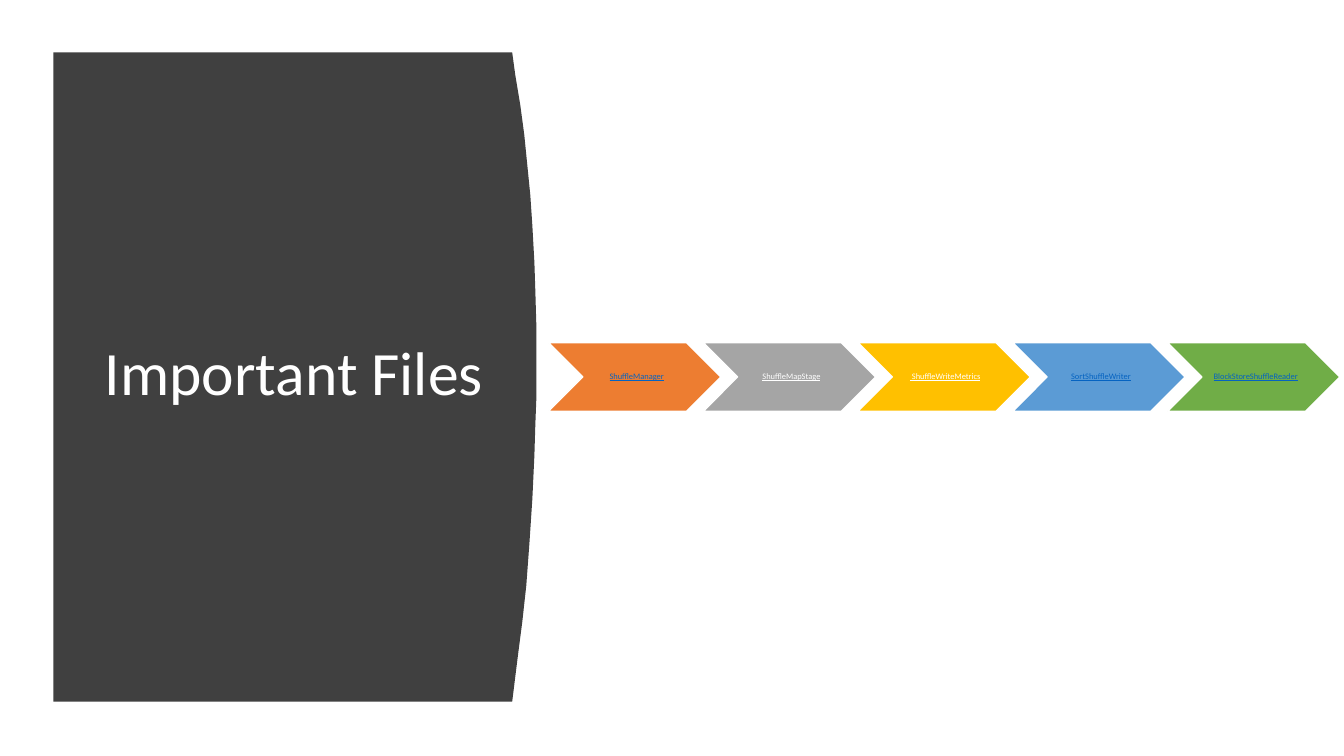
from pptx import Presentation
from pptx.dml.color import RGBColor
from pptx.enum.shapes import MSO_SHAPE
from pptx.enum.text import MSO_ANCHOR, MSO_AUTO_SIZE, PP_ALIGN
from pptx.util import Inches, Pt

COLORS = {
    "panel": "404040",
    "white": "FFFFFF",
    "link": "0563C1",
    "orange": "ED7D31",
    "gray": "A5A5A5",
    "gold": "FFC000",
    "blue": "5B9BD5",
    "green": "70AD47",
}


def color(name):
    return RGBColor.from_string(COLORS[name])


prs = Presentation()
prs.slide_width = Inches(13.33)
prs.slide_height = Inches(7.5)
slide = prs.slides.add_slide(prs.slide_layouts[5])

# Dark panel with a bulging right edge
PANEL_LEFT, PANEL_TOP, PANEL_BOTTOM = 0.53, 0.52, 6.96
bulge = [
    (5.08, PANEL_TOP), (5.11, 0.74), (5.16, 1.04), (5.2, 1.34), (5.23, 1.64),
    (5.26, 1.94), (5.28, 2.24), (5.3, 2.6), (5.31, 2.9), (5.32, 3.25),
    (5.32, 3.94), (5.31, 4.2), (5.3, 4.52), (5.28, 4.95), (5.25, 5.4),
    (5.22, 5.81), (5.18, 6.17), (5.14, 6.48), (5.11, 6.72), (5.08, PANEL_BOTTOM),
]
outline = slide.shapes.build_freeform(
    Inches(PANEL_LEFT), Inches(PANEL_TOP), scale=1.0)
outline.add_line_segments(
    [(Inches(x), Inches(y)) for x, y in bulge + [(PANEL_LEFT, PANEL_BOTTOM)]],
    close=True)
panel = outline.convert_to_shape()
panel.shadow.inherit = False
panel.fill.solid()
panel.fill.fore_color.rgb = color("panel")
panel.line.fill.background()

# Title, raised above the panel
title = slide.shapes.title
slide.shapes._spTree.append(title._element)
title.left, title.top = Inches(0.94), Inches(1.11)
title.width, title.height = Inches(4.23), Inches(5.24)
title.text_frame.text = "Important Files"
title.text_frame.word_wrap = True
title.text_frame.auto_size = MSO_AUTO_SIZE.NONE
title.text_frame.vertical_anchor = MSO_ANCHOR.MIDDLE
heading = title.text_frame.paragraphs[0]
heading.alignment = PP_ALIGN.LEFT
heading.line_spacing = 0.9
heading.font.name = "Calibri"
heading.font.size = Pt(44)
heading.font.color.rgb = color("white")

# Row of chevrons: fill, lead text, file name, name color
files = [
    ("orange", " ", "ShuffleManager", "link"),
    ("gray", " ", "ShuffleMapStage", "white"),
    ("gold", "", " ShuffleWriteMetrics", "white"),
    ("blue", " ", "SortShuffleWriter", "link"),
    ("green", " ", "BlockStoreShuffleReader", "link"),
]
FIRST_LEFT, STEP = 5.44, 1.535

for i, (fill, lead, file_name, name_color) in enumerate(files):
    chevron = slide.shapes.add_shape(
        MSO_SHAPE.CHEVRON, Inches(FIRST_LEFT + i * STEP), Inches(3.4),
        Inches(1.71), Inches(0.68))
    chevron.shadow.inherit = False
    chevron.fill.solid()
    chevron.fill.fore_color.rgb = color(fill)
    chevron.line.color.rgb = color("white")
    chevron.line.width = Pt(1)

    frame = chevron.text_frame
    frame.word_wrap = True
    frame.vertical_anchor = MSO_ANCHOR.MIDDLE
    frame.margin_left = Inches(0.03)
    frame.margin_top = frame.margin_right = frame.margin_bottom = Inches(0.01)
    label = frame.paragraphs[0]
    label.alignment = PP_ALIGN.CENTER
    label.line_spacing = 0.9
    label.font.name = "Calibri"
    label.font.size = Pt(6)
    if lead:
        lead_run = label.add_run()
        lead_run.text = lead
        lead_run.font.color.rgb = color("white")
    name_run = label.add_run()
    name_run.text = file_name
    name_run.font.underline = True
    name_run.font.color.rgb = color(name_color)

prs.save("out.pptx")
